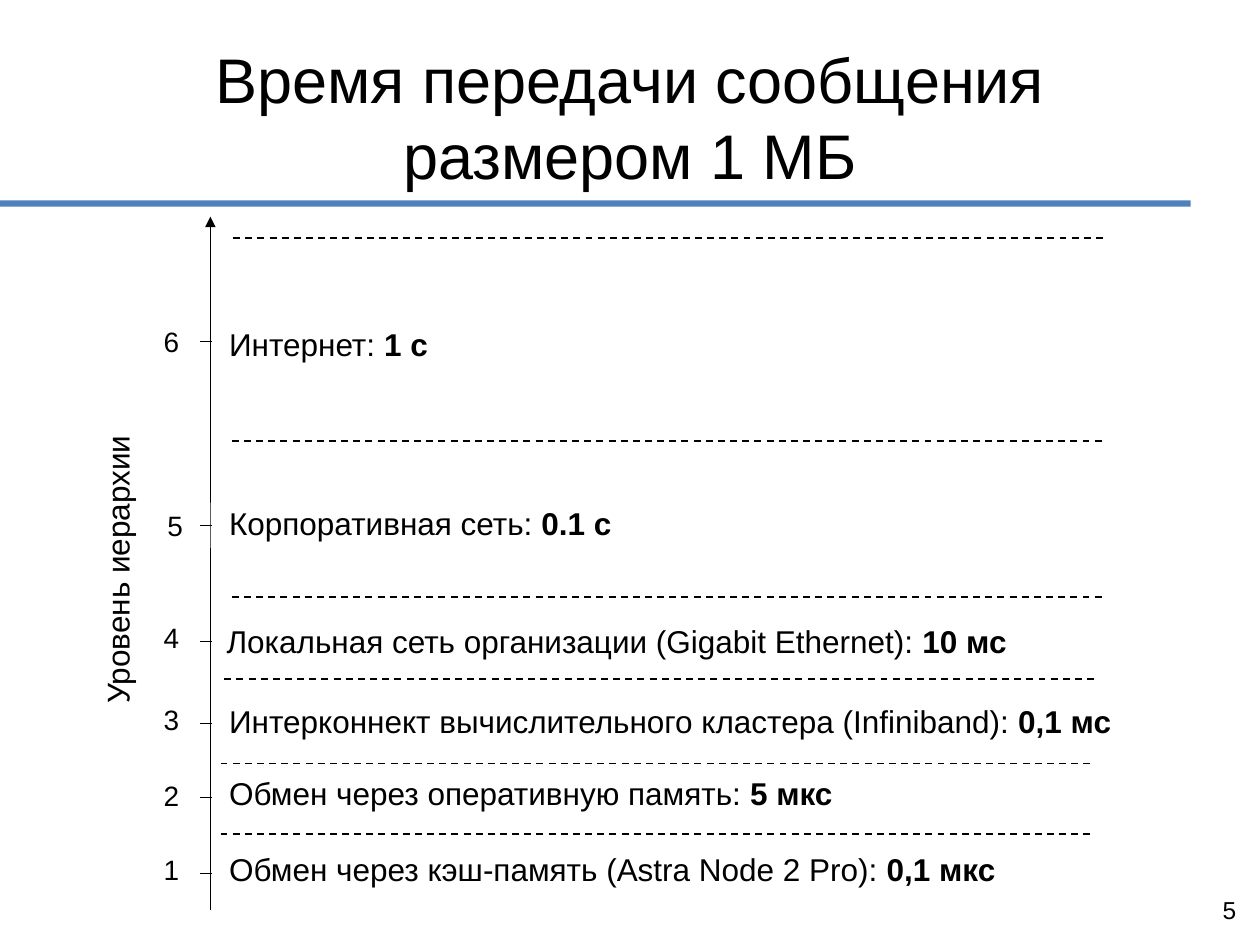
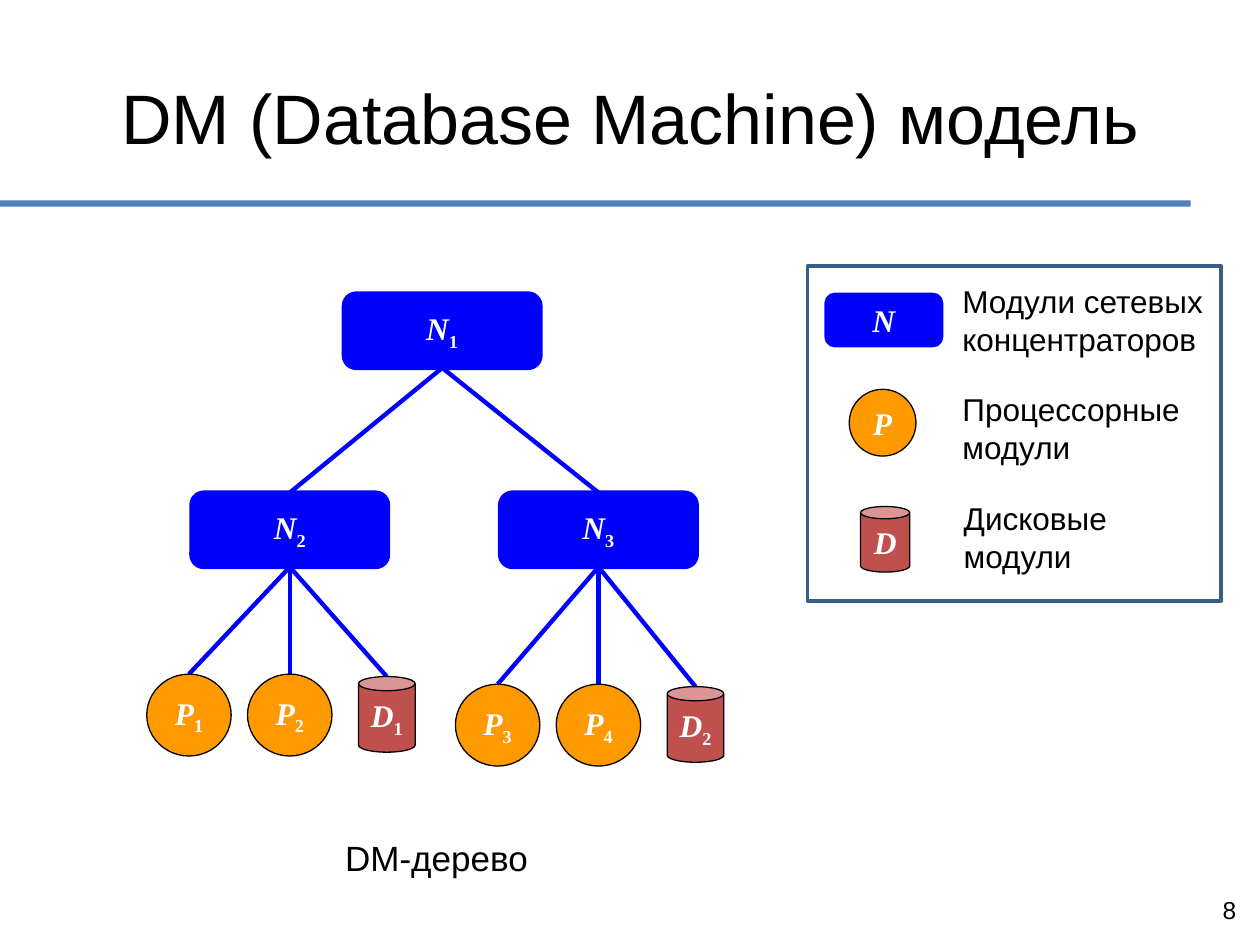
from dataclasses import dataclass
from lxml.etree import SubElement as Sub
from pptx import Presentation as Deck
from pptx.dml.color import RGBColor as Rgb
from pptx.enum.dml import MSO_LINE as Dash
from pptx.enum.shapes import MSO_CONNECTOR as Link, MSO_SHAPE as Kind
from pptx.enum.text import MSO_ANCHOR as Anchor, PP_ALIGN as Align
from pptx.oxml.ns import qn
from pptx.util import Inches, Pt


@dataclass(frozen=True)
class Theme:
    ink: str = "000000"
    paper: str = "FFFFFF"
    band: str = "4F81BD"
    frame: str = "385D8A"
    hub: str = "0000FF"
    proc: str = "FF9900"
    disk: str = "C0504D"
    sans: str = "Arial"
    serif: str = "Times New Roman"
    head: int = 36
    big: int = 40
    note: int = 20
    body: int = 18
    mark: int = 16
    foot: int = 14
    thin: float = 0.75
    thick: float = 2.5


T = Theme()
PLAIN = {"name": T.sans, "size": T.body, "color": T.ink}
BOLD = {**PLAIN, "bold": True}
SIGN = {"name": T.serif, "size": T.body, "color": T.paper, "bold": True, "italic": True}
INDEX = {**SIGN, "italic": False}
PAD = (0.1, 0.05, 0.1, 0.05)
KINDS = {
    "N": (Kind.FLOWCHART_ALTERNATE_PROCESS, T.hub, T.hub, T.thick),
    "P": (Kind.OVAL, T.proc, T.ink, T.thin),
    "D": (Kind.CAN, T.disk, T.ink, T.thin),
}
SIZES = {"N": (1.56, 0.59), "P": (0.67, 0.65), "D": (0.45, 0.6)}

LEVELS = [
    ("Обмен через кэш-память (Astra Node 2 Pro): ", "0,1 мкс", 1.72, 6.7, 1.2, 6.72, 6.93),
    ("Обмен через оперативную память: ", "5 мкс", 1.72, 6.09, 1.2, 6.13, 6.33),
    ("Интерконнект вычислительного кластера (Infiniband): ", "0,1 мс", 1.72, 5.52, 1.2, 5.53, 5.74),
    ("Локальная сеть организации (Gigabit Ethernet): ", "10 мс", 1.7, 4.89, 1.2, 4.88, 5.09),
    ("Корпоративная сеть: ", "0.1 с", 1.72, 3.95, 1.23, 3.99, 4.17),
    ("Интернет: ", "1 с", 1.72, 2.53, 1.2, 2.53, 2.71),
]
BOUNDS = [(1.75, 6.62), (1.75, 6.06), (1.78, 5.39), (1.84, 4.74), (1.84, 3.5), (1.85, 1.89)]

LEGEND = [
    ("N", (6.56, 2.34, 0.91, 0.4), "Модули сетевых концентраторов", (7.54, 2.19, 2.17, 0.7)),
    ("P", (6.74, 3.09, 0.53, 0.53), "Процессорные модули", (7.54, 3.05, 2.16, 0.7)),
    ("D", (6.83, 4.02, 0.39, 0.52), "Дисковые модули", (7.55, 3.91, 2.09, 0.7)),
]
ROOT = (3.51, 2.33)
HUBS = [(2.3, "2", 5.35, "121"), (4.75, "3", 5.43, "342")]
HUB_TOP = 3.91
LEAVES = [("P", -0.8, 0), ("P", 0, 0), ("D", 0.77, 0.02)]


def tune(item, vals):
    for key, val in vals.items():
        setattr(item, key, val)


def style(font, form):
    vals = dict(form)
    font.color.rgb = Rgb.from_string(vals.pop("color"))
    vals["size"] = Pt(vals["size"])
    tune(font, vals)


def write(shape, runs, align=Align.LEFT, anchor=Anchor.TOP, pad=PAD):
    frame = shape.text_frame
    sides = ("margin_left", "margin_top", "margin_right", "margin_bottom")
    tune(frame, {"word_wrap": True, "vertical_anchor": anchor, **dict(zip(sides, map(Inches, pad)))})
    para = frame.paragraphs[0]
    para.alignment = align
    for text, form in runs:
        run = para.add_run()
        run.text = text
        style(run.font, form)
        if form is INDEX:
            run.font._element.set("baseline", "-25000")


def label(slide, place, runs, **opts):
    box = slide.shapes.add_textbox(*map(Inches, place))
    write(box, runs, **opts)
    return box


def block(slide, kind, place, fill=None, edge=None, width=T.thin):
    shape = slide.shapes.add_shape(kind, *map(Inches, place))
    shape.shadow.inherit = False
    if fill:
        shape.fill.solid()
        shape.fill.fore_color.rgb = Rgb.from_string(fill)
    else:
        shape.fill.background()
    if edge:
        shape.line.color.rgb = Rgb.from_string(edge)
        shape.line.width = Pt(width)
    else:
        shape.line.fill.background()
    return shape


def panel(slide, place, runs):
    write(block(slide, Kind.RECTANGLE, place, T.paper), runs)


def stroke(slide, start, end, color=T.ink, width=T.thin, dash=None, arrow=False):
    line = slide.shapes.add_connector(Link.STRAIGHT, *map(Inches, (*start, *end)))
    line.line.color.rgb = Rgb.from_string(color)
    tune(line.line, {"width": Pt(width), "dash_style": dash})
    props = line._element.spPr
    if arrow:
        Sub(props.find(qn("a:ln")), qn("a:tailEnd"), type="triangle")
    Sub(props, qn("a:effectLst"))


def node(slide, sort, place, index="", inset=0.05):
    kind, fill, edge, width = KINDS[sort]
    shape = block(slide, kind, place, fill, edge, width)
    runs = [(sort, SIGN)] + ([(index, INDEX)] if index else [])
    write(shape, runs, Align.CENTER, Anchor.MIDDLE, (0, inset, 0, inset))


def unit(slide, sort, mid, top, index):
    wide, high = SIZES[sort]
    node(slide, sort, (mid - wide / 2, top, wide, high), index)


def base(deck, title, size, page):
    slide = deck.slides.add_slide(deck.slide_layouts[6])
    block(slide, Kind.RECTANGLE, (0, 1.59, 9.45, 0.05), T.band)
    label(slide, (0.5, 0.3, 9, 1.25), [(title, {**PLAIN, "size": size})],
          align=Align.CENTER, anchor=Anchor.MIDDLE)
    label(slide, (9.22, 7.02, 0.69, 0.4), [(page, {**PLAIN, "size": T.foot})],
          align=Align.RIGHT, anchor=Anchor.MIDDLE)
    return slide


def times(deck):
    slide = base(deck, "Время передачи сообщения размером 1 МБ", T.head, "5")
    stroke(slide, (1.67, 7.22), (1.67, 1.72), arrow=True)
    axis = label(slide, (-1.62, 4.35, 5.14, 0.34), [("Уровень иерархии", PLAIN)],
                 align=Align.CENTER, pad=(0, 0, 0, 0))
    axis.rotation = 270
    for rank, (name, time, left, top, side, high, tick) in enumerate(LEVELS, 1):
        panel(slide, (side, high, 0.44, 0.36), [(str(rank), {**PLAIN, "size": T.mark})])
        stroke(slide, (1.59, tick), (1.68, tick))
        panel(slide, (left, top, 7.44, 0.43), [(name, PLAIN), (time, BOLD)])
    for left, top in BOUNDS:
        stroke(slide, (left, top), (left + 6.92, top), width=1, dash=Dash.DASH)


def tree(slide):
    mid, top = ROOT
    high = SIZES["N"][1]
    ink = {"color": T.hub, "width": T.thick}
    for hub, index, row, marks in HUBS:
        stroke(slide, (mid, top + high), (hub, HUB_TOP), **ink)
        for (sort, shift, drop), mark in zip(LEAVES, marks):
            leaf = (hub + shift, row + drop)
            stroke(slide, (hub, HUB_TOP + high), leaf, **ink)
            unit(slide, sort, *leaf, mark)
        unit(slide, "N", hub, HUB_TOP, index)
    unit(slide, "N", mid, top, "1")


def model(deck):
    slide = base(deck, "DM (Database Machine) модель", T.big, "8")
    tree(slide)
    for sort, spot, text, place in LEGEND:
        label(slide, place, [(text, PLAIN)])
        node(slide, sort, spot, inset=0)
    block(slide, Kind.RECTANGLE, (6.41, 2.11, 3.28, 2.66), edge=T.frame, width=2)
    label(slide, (2.64, 6.59, 1.65, 0.44), [("DM-дерево", {**PLAIN, "size": T.note})])


def main():
    deck = Deck()
    tune(deck, {"slide_width": Inches(10), "slide_height": Inches(7.5)})
    times(deck)
    model(deck)
    deck.save("out.pptx")


if __name__ == "__main__":
    main()
